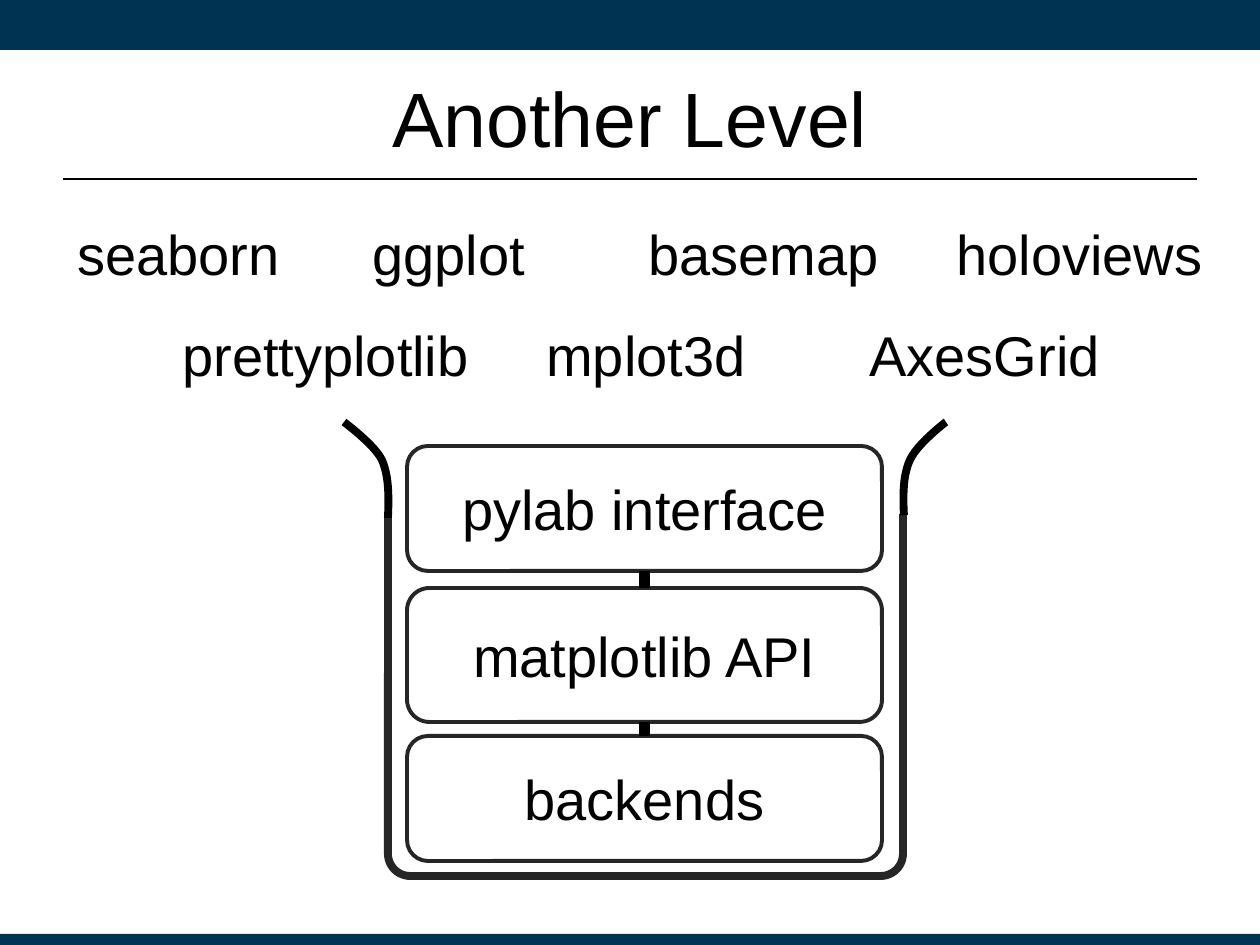
from lxml.etree import SubElement
from pptx import Presentation
from pptx.dml.color import RGBColor
from pptx.enum.shapes import MSO_CONNECTOR, MSO_SHAPE
from pptx.enum.text import MSO_ANCHOR, MSO_AUTO_SIZE, PP_ALIGN
from pptx.oxml.ns import qn
from pptx.util import Emu, Pt

NAVY = RGBColor(0x00, 0x32, 0x52)
GREY = RGBColor(0x26, 0x26, 0x26)
BLACK = RGBColor(0, 0, 0)
WHITE = RGBColor(255, 255, 255)

BARS = [(0, 0, 1260, 50), (0, 934, 1260, 11)]
MASKS = [(325, 357, 672, 84), (892, 435, 305, 79), (95, 436, 305, 79)]
LAYERS = [("pylab interface", 446, 125), ("matplotlib API", 588, 134),
          ("backends", 736, 125)]
# Each lip is a start point and two cubic curves of three points.
LIPS = [
    [(388, 518), (389, 496), (389, 476), (382, 460),
     (375, 445), (344, 422), (344, 422)],
    [(904, 515), (903, 495), (903, 475), (910, 460),
     (917, 444), (946, 422), (946, 422)],
]
# Names in each row, with the tab stop of each name.
TOOLS = [
    {"seaborn": 31, "ggplot": 326, "basemap": 602, "holoviews": 910},
    {"prettyplotlib": 136, "mplot3d": 500, "AxesGrid": 823},
]


def px(num):
    return Emu(round(num * 914400 / 126))


def style(text, size):
    for key, val in {"name": "Arial", "size": Pt(size), "bold": False}.items():
        setattr(text.font, key, val)
    text.font.color.rgb = BLACK


def stroke(line, color, width):
    line.color.rgb = color
    line.width = Pt(width)


def add_box(slide, kind, area, fill=None, line=None, width=1):
    box = slide.shapes.add_shape(kind, *map(px, area))
    box.shadow.inherit = False
    if fill is None:
        box.fill.background()
    else:
        box.fill.solid()
        box.fill.fore_color.rgb = fill
    if line is None:
        box.line.fill.background()
    else:
        stroke(box.line, line, width)
    return box


def add_line(slide, ends, width):
    line = slide.shapes.add_connector(MSO_CONNECTOR.STRAIGHT, *map(px, ends))
    stroke(line.line, BLACK, width)
    SubElement(line._element.spPr, qn("a:effectLst"))
    return line


def add_title(slide, text):
    title = slide.shapes.title
    area = dict(left=63, top=38, width=1134, height=157)
    for key, val in area.items():
        setattr(title, key, px(val))
    title.text_frame.text = text
    title.text_frame.vertical_anchor = MSO_ANCHOR.MIDDLE
    para = title.text_frame.paragraphs[0]
    para.alignment = PP_ALIGN.CENTER
    style(para, 44)
    add_line(slide, (63, 179, 1197, 179), 1.25)


def add_layer(slide, text, top, height):
    box = add_box(slide, MSO_SHAPE.ROUNDED_RECTANGLE, (407, top, 475, height),
                  line=GREY, width=2.25)
    box.text_frame.text = text
    box.text_frame.vertical_anchor = MSO_ANCHOR.MIDDLE
    para = box.text_frame.paragraphs[0]
    para.alignment = PP_ALIGN.CENTER
    style(para, 32)
    return box


def add_stack(slide):
    """Draw the layers, each joined to the next."""
    boxes = [add_layer(slide, *layer) for layer in LAYERS]
    for upper, lower in zip(boxes, boxes[1:]):
        link = add_line(slide, (0, 0, 0, 0), 6)
        link.begin_connect(upper, 2)
        link.end_connect(lower, 0)


def bezier(knots, step):
    a, b, c, d = knots
    t, u = step, 1 - step
    return tuple(px(u**3 * p + 3 * u * u * t * q + 3 * u * t * t * r + t**3 * s)
                 for p, q, r, s in zip(a, b, c, d))


def add_lip(slide, knots):
    """Draw one flared end of the vessel as a smooth open curve."""
    spots = [bezier(knots[at:at + 4], num / 12)
             for at in (0, 3) for num in range(1, 13)]
    pen = slide.shapes.build_freeform(*map(px, knots[0]))
    pen.add_line_segments(spots, close=False)
    lip = pen.convert_to_shape()
    lip.shadow.inherit = False
    lip.fill.background()
    stroke(lip.line, BLACK, 4.5)


def add_tools(slide):
    box = slide.shapes.add_textbox(*map(px, (34, 180, 1221, 217)))
    frame = box.text_frame
    frame.word_wrap = True
    frame.auto_size = MSO_AUTO_SIZE.SHAPE_TO_FIT_TEXT
    frame.text = "\n".join("\t" + "\t".join(row) for row in TOOLS)
    for para, row in zip(frame.paragraphs, TOOLS):
        tabs = SubElement(para._p.get_or_add_pPr(), qn("a:tabLst"))
        for stop in row.values():
            SubElement(tabs, qn("a:tab"), pos=str(px(stop)), algn="l")
        para.line_spacing = 1.5
        style(para, 32)


def main():
    deck = Presentation()
    deck.slide_width, deck.slide_height = px(1260), px(945)
    slide = deck.slides.add_slide(deck.slide_layouts[5])
    for area in BARS:
        add_box(slide, MSO_SHAPE.RECTANGLE, area, fill=NAVY)
    add_title(slide, "Another Level")
    vessel = add_box(slide, MSO_SHAPE.ROUNDED_RECTANGLE, (388, 431, 515, 445),
                     line=GREY, width=4.5)
    vessel.adjustments[0] = 0.05
    add_stack(slide)
    for area in MASKS:
        add_box(slide, MSO_SHAPE.RECTANGLE, area, fill=WHITE)
    for knots in LIPS:
        add_lip(slide, knots)
    add_tools(slide)
    deck.save("out.pptx")


if __name__ == "__main__":
    main()
